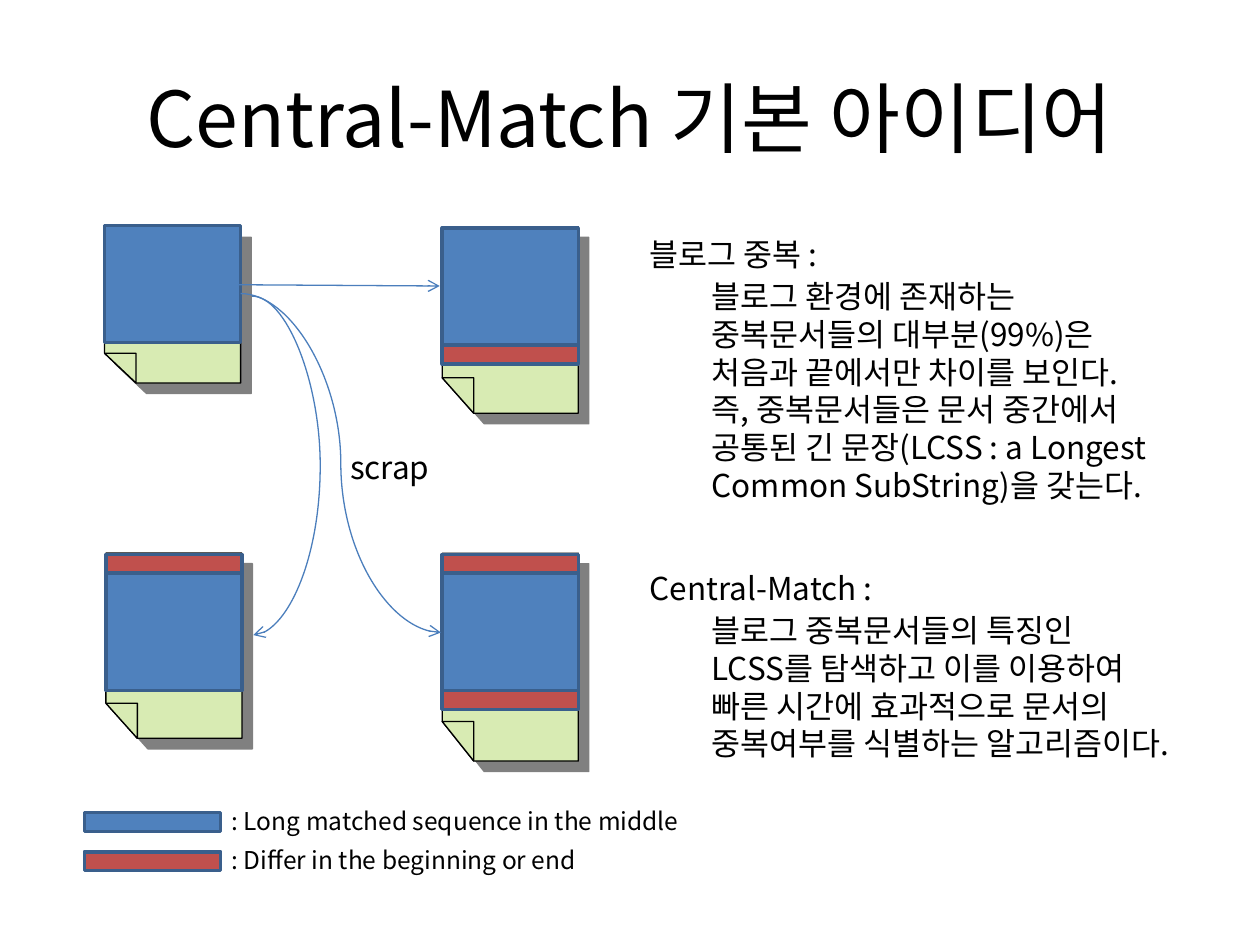
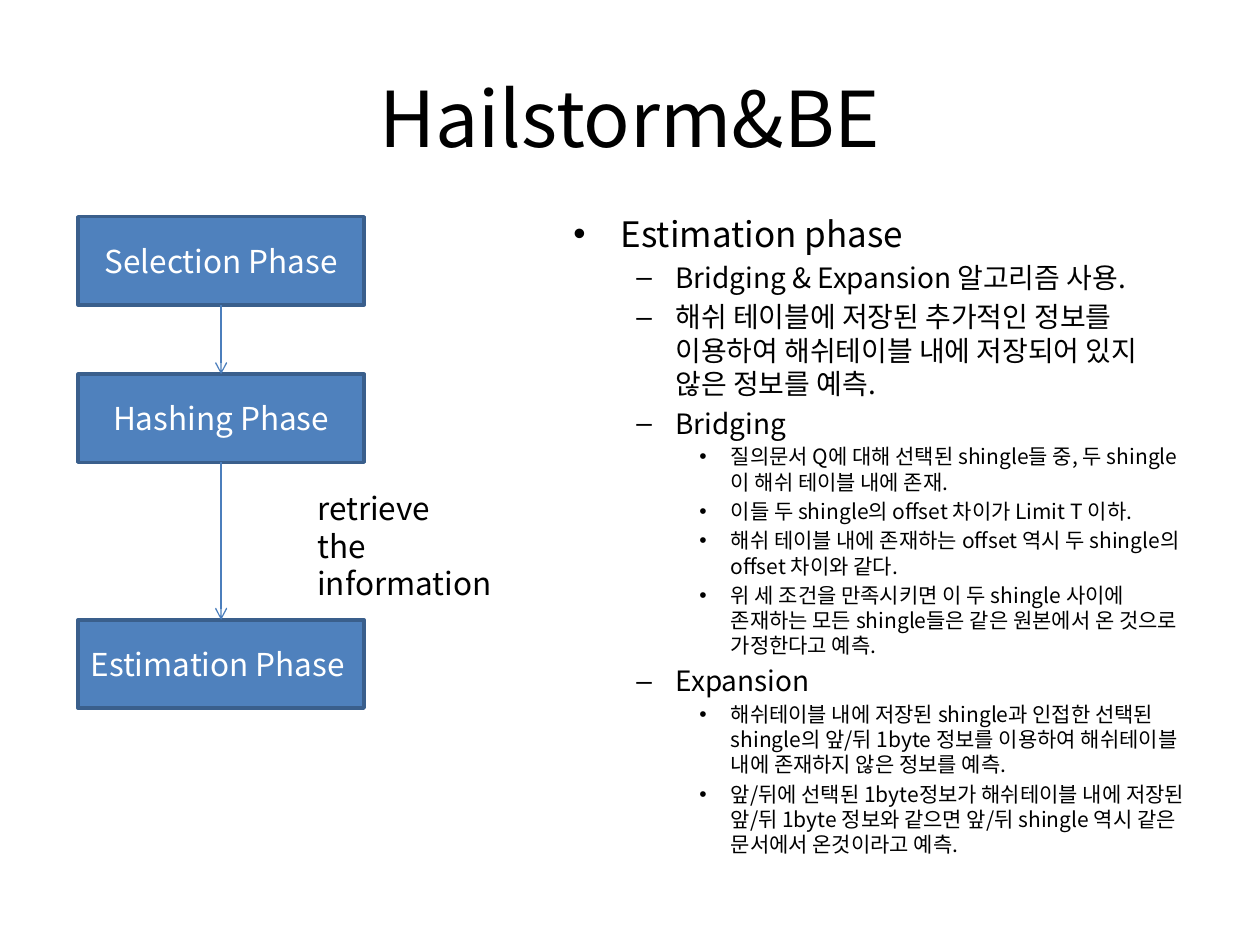
from lxml import etree
from pptx import Presentation
from pptx.dml.color import RGBColor
from pptx.enum import shapes, text
from pptx.oxml import ns
from pptx.util import Inches, Pt

FONT = "Noto Sans CJK KR"
BLACK = RGBColor(0x00, 0x00, 0x00)
WHITE = RGBColor(0xFF, 0xFF, 0xFF)
BLUE = RGBColor(0x4F, 0x81, 0xBD)
NAVY = RGBColor(0x3A, 0x5F, 0x8C)
WIRE = RGBColor(0x4B, 0x7E, 0xBC)
RED = RGBColor(0xC0, 0x50, 0x4D)
GREEN = RGBColor(0xD8, 0xEB, 0xB3)
LEFT, MID = text.PP_ALIGN.LEFT, text.PP_ALIGN.CENTER
RECT = shapes.MSO_SHAPE.RECTANGLE
LINE, CURVE = shapes.MSO_CONNECTOR.STRAIGHT, shapes.MSO_CONNECTOR.CURVE

TITLES = ["Central-Match 기본 아이디어", "Hailstorm&BE"]

PAGE_W, BLOCK_H, BAR_H, FOLD = 1.08, 0.93, 0.15, 0.25
PAGES = [
    (0.83, 1.8, 1.24, 1.79, [BLUE]),
    (3.51, 1.8, 1.48, 1.81, [BLUE, RED]),
    (0.84, 4.39, 1.47, 4.4, [RED, BLUE]),
    (3.51, 4.39, 1.65, 4.4, [RED, BLUE, RED]),
]
WIRES = [
    (LINE, 1.89, 2.26, 3.49, 2.27, None),
    (CURVE, 1.91, 2.33, 3.5, 5.02, 0.5),
    (CURVE, 2, 2.35, 2.01, 5.04, 55),
]
KEYS = [
    (BLUE, ": Long matched sequence in the middle"),
    (RED, ": Differ in the beginning or end"),
]
NOTES = [
    (2.68, 3.51, 1.02, ["scrap"]),
    (5.06, 1.82, 1.73, ["블로그 중복 :"]),
    (5.55, 2.15, 3.95, [
        "블로그 환경에 존재하는",
        "중복문서들의 대부분(99%)은",
        "처음과 끝에서만 차이를 보인다.",
        "즉, 중복문서들은 문서 중간에서",
        "공통된 긴 문장(LCSS : a Longest",
        "Common SubString)을 갖는다.",
    ]),
    (5.06, 4.47, 2.2, ["Central-Match :"]),
    (5.55, 4.8, 4.22, [
        "블로그 중복문서들의 특징인",
        "LCSS를 탐색하고 이를 이용하여",
        "빠른 시간에 효과적으로 문서의",
        "중복여부를 식별하는 알고리즘이다.",
    ]),
]

STEP_X, STEP_W, STEP_H = 0.62, 2.27, 0.7
STEPS = [
    (1.72, "Selection Phase", MID),
    (2.97, "Hashing Phase", MID),
    (4.92, "Estimation Phase", LEFT),
]
SIZES = [20, 16, 12]
POINTS = [
    (0, "Estimation phase"),
    (1, "Bridging & Expansion 알고리즘 사용."),
    (1, "해쉬 테이블에 저장된 추가적인 정보를 이용하여 해쉬테이블 내에 저장되어 있지 않은 정보를 예측."),
    (1, "Bridging"),
    (2, "질의문서 Q에 대해 선택된 shingle들 중, 두 shingle이 해쉬 테이블 내에 존재."),
    (2, "이들 두 shingle의 offset 차이가 Limit T 이하."),
    (2, "해쉬 테이블 내에 존재하는 offset 역시 두 shingle의 offset 차이와 같다."),
    (2, "위 세 조건을 만족시키면 이 두 shingle 사이에 존재하는 모든 shingle들은 같은 원본에서 온 것으로 가정한다고 예측."),
    (1, "Expansion"),
    (2, "해쉬테이블 내에 저장된 shingle과 인접한 선택된 shingle의 앞/뒤 1byte 정보를 이용하여 해쉬테이블 내에 존재하지 않은 정보를 예측."),
    (2, "앞/뒤에 선택된 1byte정보가 해쉬테이블 내에 저장된 앞/뒤 1byte 정보와 같으면 앞/뒤 shingle 역시 같은 문서에서 온것이라고 예측."),
]


def sub(node, tag, **attrs):
    return etree.SubElement(node, ns.qn(tag), attrs)


def write(frame, words, size=18, color=BLACK, align=None, level=0, add=False):
    para = frame.add_paragraph() if add else frame.paragraphs[0]
    para.level = level
    if align is not None:
        para.alignment = align
    run = para.add_run()
    run.text = words
    run.font.name, run.font.size = FONT, Pt(size)
    run.font.color.rgb = color
    sub(run.font._element, "a:ea", typeface=FONT)


def label(slide, x, y, w, lines, size=18):
    high = 0.1 + len(lines) * size / 60
    box = slide.shapes.add_textbox(*map(Inches, (x, y, w, high)))
    box.text_frame.word_wrap = True
    for i, words in enumerate(lines):
        write(box.text_frame, words, size=size, add=i > 0)


def paint(shape, fill, edge, width):
    shape.shadow.inherit = False
    shape.fill.solid()
    shape.fill.fore_color.rgb = fill
    shape.line.color.rgb = edge
    shape.line.width = Pt(width)


def block(slide, x, y, w, h, fill):
    shape = slide.shapes.add_shape(RECT, *map(Inches, (x, y, w, h)))
    paint(shape, fill, NAVY, 2)
    return shape


def outline(slide, points):
    spots = [(Inches(x), Inches(y)) for x, y in points]
    pen = slide.shapes.build_freeform(*spots[0])
    pen.add_line_segments(spots[1:], close=True)
    shape = pen.convert_to_shape()
    paint(shape, GREEN, BLACK, 0.75)
    return shape


def page(slide, x, y, h):
    low, bend = y + h, y + h * 0.81
    sheet = outline(slide, [(x, y), (x + PAGE_W, y), (x + PAGE_W, low),
                            (x + FOLD, low), (x, bend)])
    glow = sheet._element.spPr.find(ns.qn("a:effectLst"))
    shade = sub(glow, "a:outerShdw", dist=str(Pt(8.5)), dir="2700000",
                algn="ctr", rotWithShape="0")
    sub(shade, "a:srgbClr", val="808080")
    outline(slide, [(x, bend), (x + FOLD, bend), (x + FOLD, low)])


def arrow(slide, kind, x1, y1, x2, y2, bow=None):
    wire = slide.shapes.add_connector(kind, *map(Inches, (x1, y1, x2, y2)))
    wire.line.color.rgb = WIRE
    wire.line.width = Pt(0.75)
    props = wire._element.spPr
    sub(props.find(ns.qn("a:ln")), "a:tailEnd", type="arrow")
    sub(props, "a:effectLst")
    if bow is not None:
        guides = props.find(ns.qn("a:prstGeom")).find(ns.qn("a:avLst"))
        sub(guides, "a:gd", name="adj1", fmla=f"val {round(bow * 100000)}")


def start(deck, layout, words):
    slide = deck.slides.add_slide(deck.slide_layouts[layout])
    head = slide.shapes.title
    head.left, head.top, head.width, head.height = map(Inches, (0.5, 0.3, 9, 1.25))
    head.text_frame.vertical_anchor = text.MSO_ANCHOR.MIDDLE
    write(head.text_frame, words, size=44, align=MID)
    return slide


def idea(deck):
    slide = start(deck, 5, TITLES[0])
    for x, y, h, top, fills in PAGES:
        page(slide, x, y, h)
        for fill in fills:
            tall = BLOCK_H if fill == BLUE else BAR_H
            block(slide, x, top, PAGE_W, tall, fill)
            top += tall
    for wire in WIRES:
        arrow(slide, *wire)
    for i, (fill, words) in enumerate(KEYS):
        y = 6.45 + i * 0.31
        block(slide, 0.67, y, PAGE_W, BAR_H, fill)
        label(slide, 1.74, y - 0.1, 3.86, [words], size=14)
    for note in NOTES:
        label(slide, *note)


def phases(deck):
    slide = start(deck, 1, TITLES[1])
    body = slide.placeholders[1]
    body.left, body.top, body.width, body.height = map(Inches, (4.45, 1.64, 5.05, 5.06))
    body.text_frame.auto_size = text.MSO_AUTO_SIZE.NONE
    for i, (level, words) in enumerate(POINTS):
        write(body.text_frame, words, size=SIZES[level], level=level, add=i > 0)
    label(slide, 2.42, 3.83, 1.7, ["retrieve", "the information"])
    for y, words, align in STEPS:
        box = block(slide, STEP_X, y, STEP_W, STEP_H, BLUE)
        box.text_frame.vertical_anchor = text.MSO_ANCHOR.MIDDLE
        write(box.text_frame, words, color=WHITE, align=align)
    x = STEP_X + STEP_W / 2
    for above, below in zip(STEPS, STEPS[1:]):
        arrow(slide, LINE, x, above[0] + STEP_H, x, below[0])


deck = Presentation()
deck.slide_width, deck.slide_height = Inches(10), Inches(7.5)
idea(deck)
phases(deck)
deck.save("out.pptx")
